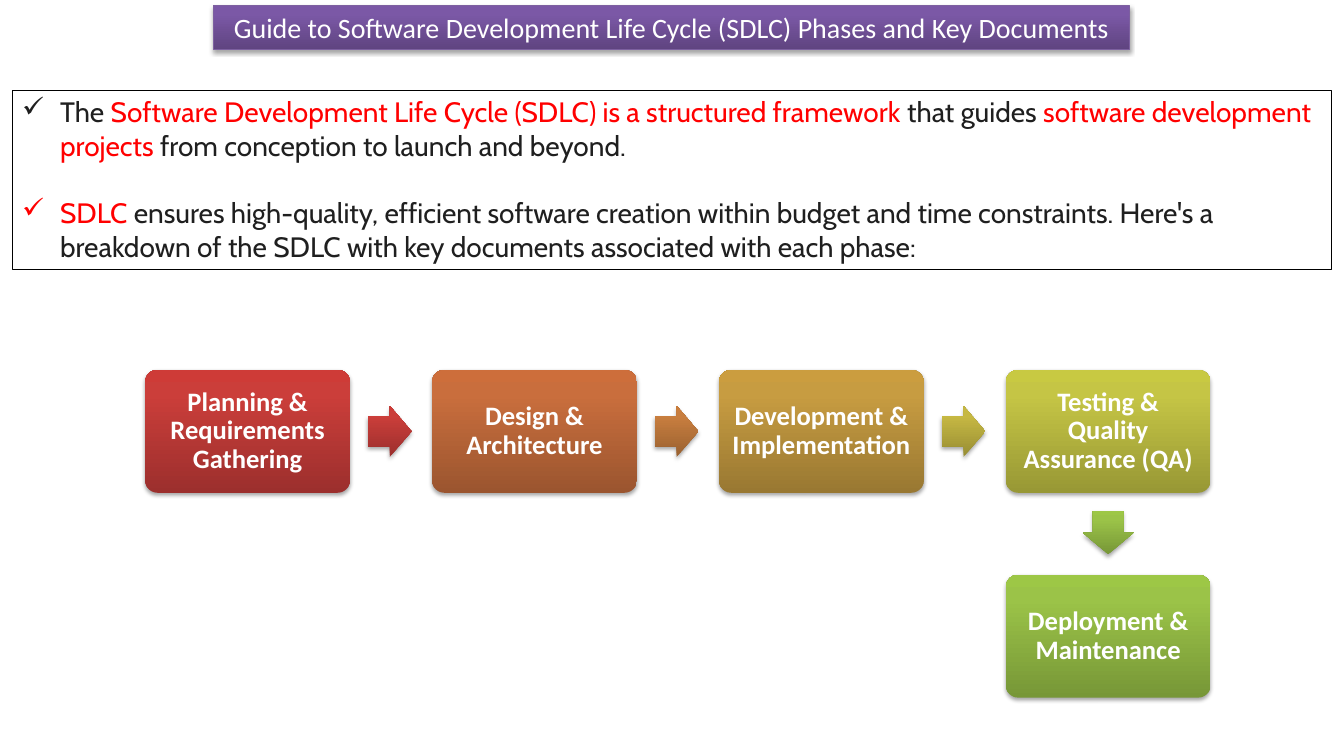
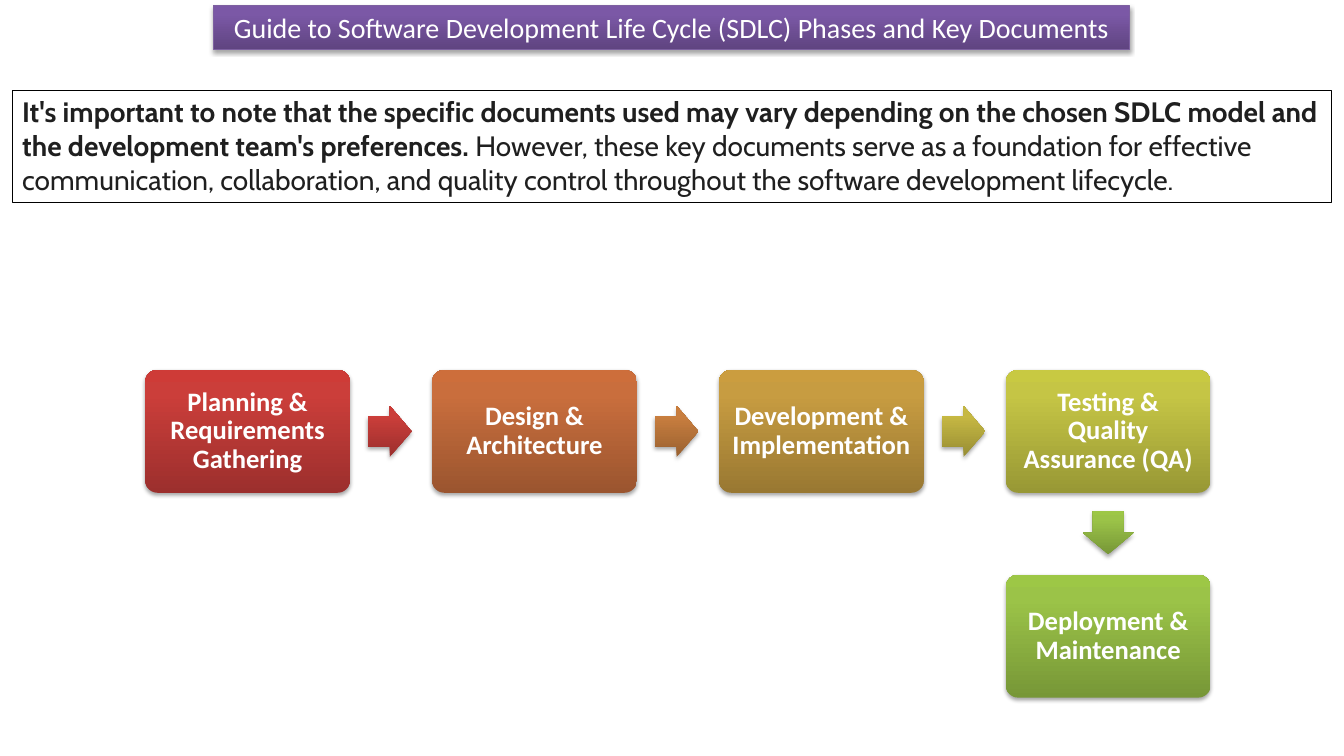
"""Build two slides on the phases of the software life cycle."""
import copy
import dataclasses

import pptx
import pptx.dml.color
import pptx.enum.shapes
import pptx.enum.text
import pptx.oxml
import pptx.oxml.ns
import pptx.util

Pt = pptx.util.Pt
Kind = pptx.enum.shapes.MSO_SHAPE
Align = pptx.enum.text.PP_ALIGN
Anchor = pptx.enum.text.MSO_ANCHOR


@dataclasses.dataclass(frozen=True)
class Theme:
    """Hold the colours, fonts and type sizes of the deck."""
    white: str = "FFFFFF"
    black: str = "000000"
    ink: str = "1F1F1F"
    red: str = "FF0000"
    rim: str = "7D60A0"
    band: tuple = ("5F4480", "7B58A6", "7C57A8")
    boxes: tuple = (
        ("9C2F2D", "CB3E3A", "CE3B37"),
        ("9B552F", "C96E3D", "CD6E3B"),
        ("997832", "C79C41", "CB9D3F"),
        ("989835", "C5C545", "C8C942"),
        ("779737", "9BC348", "9DC746"),
    )
    arrows: tuple = (
        ("9C2F2D", "CB3E3A", "CE3B37"),
        ("9A6130", "C87E3F", "CC7E3C"),
        ("988E34", "C6B843", "C9BB41"),
        ("779737", "9BC348", "9DC746"),
    )
    stops: tuple = (0, 0.8, 1)
    head: str = "Calibri"
    body: str = "Cabin"
    large: int = 20
    small: int = 19


THEME = Theme()
TITLE = "Guide to Software Development Life Cycle (SDLC) Phases and Key Documents"
STEPS = (
    "Planning & Requirements Gathering",
    "Design & Architecture",
    "Development & Implementation",
    "Testing & Quality Assurance (QA)",
    "Deployment & Maintenance",
)
INTRO = (
    (
        ("The ", THEME.ink, False),
        ("Software Development Life Cycle (SDLC) is a structured framework ", THEME.red, False),
        ("that guides ", THEME.ink, False),
        ("software development projects ", THEME.red, False),
        ("from conception to launch and beyond.", THEME.ink, False),
    ),
    (
        ("SDLC", THEME.red, False),
        (" ensures high-quality, efficient software creation within budget and time "
         "constraints. Here's a breakdown of the SDLC with key documents associated "
         "with each phase:", THEME.ink, False),
    ),
)
CLOSE = (
    (
        ("It's important to note that the specific documents used may vary depending on "
         "the chosen SDLC model and the development team's preferences.", THEME.ink, True),
        (" However, these key documents serve as a foundation for effective "
         "communication, collaboration, and quality control throughout the software "
         "development lifecycle.", THEME.ink, False),
    ),
)


def tint(code):
    """Turn a hex code into a colour."""
    return pptx.dml.color.RGBColor.from_string(code)


def add_shape(slide, kind, left, top, width, height):
    """Add a plain shape with no line or shadow."""
    shape = slide.shapes.add_shape(kind, Pt(left), Pt(top), Pt(width), Pt(height))
    shape.shadow.inherit = False
    shape.line.fill.background()
    shape.text_frame.word_wrap = True
    return shape


def set_line(shape, code, width):
    """Give a shape a solid outline."""
    shape.line.color.rgb = tint(code)
    shape.line.width = Pt(width)


def add_gloss(shape, shades):
    """Fill a shape with an upward gradient and drop a soft shadow."""
    shape.fill.gradient()
    shape.fill.gradient_angle = 90
    group = shape.element.xpath(".//a:gsLst")[0]
    group.append(copy.deepcopy(group[0]))
    for stop, code, place in zip(shape.fill.gradient_stops, shades, THEME.stops):
        stop.color.rgb = tint(code)
        stop.position = place
    shape.element.xpath("./p:spPr/a:effectLst")[0].append(pptx.oxml.parse_xml(
        f'<a:outerShdw {pptx.oxml.ns.nsdecls("a")} blurRad="{Pt(3.1)}" '
        f'dist="{Pt(1.8)}" dir="5400000" rotWithShape="0">'
        f'<a:srgbClr val="{THEME.black}"><a:alpha val="35000"/></a:srgbClr>'
        '</a:outerShdw>'))


def add_run(para, text, font, size, code, bold=False):
    """Add one styled run to a paragraph."""
    run = para.add_run()
    run.text = text
    run.font.name = font
    run.font.size = Pt(size)
    run.font.bold = bold
    run.font.color.rgb = tint(code)


def add_tick(para):
    """Give a paragraph a tick bullet with a hanging indent."""
    props = para._p.get_or_add_pPr()
    props.set("marL", str(Pt(27)))
    props.set("indent", str(Pt(-27)))
    props.append(pptx.oxml.parse_xml(
        f'<a:buChar {pptx.oxml.ns.nsdecls("a")} char="✓"/>'))


def add_title(slide):
    """Add the purple title band."""
    shape = add_shape(slide, Kind.RECTANGLE, 152.7, 4, 654, 31.5)
    add_gloss(shape, THEME.band)
    set_line(shape, THEME.rim, 0.75)
    para = shape.text_frame.paragraphs[0]
    para.alignment = Align.CENTER
    add_run(para, TITLE, THEME.head, THEME.large, THEME.white)


def add_panel(slide, paras, height, ticks):
    """Add the framed text below the title."""
    shape = add_shape(slide, Kind.RECTANGLE, 8.8, 64.3, 942, height)
    shape.fill.solid()
    shape.fill.fore_color.rgb = tint(THEME.white)
    set_line(shape, THEME.black, 0.25)
    frame = shape.text_frame
    frame.vertical_anchor = Anchor.TOP
    for index, runs in enumerate(paras):
        para = frame.add_paragraph() if index else frame.paragraphs[0]
        para.alignment = Align.LEFT
        if index:
            para.space_before = Pt(24)
        if ticks:
            add_tick(para)
        for text, code, bold in runs:
            add_run(para, text, THEME.body, THEME.large, code, bold)


def add_step(slide, left, top, width, height, text, shades):
    """Add one rounded phase box."""
    shape = add_shape(slide, Kind.ROUNDED_RECTANGLE, left, top, width, height)
    shape.adjustments[0] = 0.1
    add_gloss(shape, shades)
    frame = shape.text_frame
    frame.vertical_anchor = Anchor.MIDDLE
    frame.margin_left = frame.margin_right = Pt(5.7)
    para = frame.paragraphs[0]
    para.alignment = Align.CENTER
    para.line_spacing = 0.9
    add_run(para, text, THEME.head, THEME.small, THEME.white, True)


def add_arrow(slide, kind, left, top, width, height, shades):
    """Add one block arrow."""
    shape = add_shape(slide, kind, left, top, width, height)
    shape.adjustments[0] = 0.6
    shape.adjustments[1] = 0.5
    add_gloss(shape, shades)


def add_flow(slide):
    """Lay four phases in a row and the last below its end."""
    left, top, width, height = 103.7, 264.2, 146.3, 87.8
    pitch, drop, gap, long, wide = 204.9, 146.3, 13, 31, 36.3
    final = len(STEPS) - 1
    for index, (text, shades) in enumerate(zip(STEPS, THEME.boxes)):
        across = left + min(index, final - 1) * pitch
        down = top + (drop if index == final else 0)
        add_step(slide, across, down, width, height, text, shades)
        if index < final - 1:
            add_arrow(slide, Kind.RIGHT_ARROW, across + width + gap,
                      down + (height - wide) / 2, long, wide, THEME.arrows[index])
        elif index < final:
            add_arrow(slide, Kind.DOWN_ARROW, across + (width - wide) / 2,
                      down + height + gap, wide, long, THEME.arrows[index])


def main():
    """Build and save the deck."""
    deck = pptx.Presentation()
    deck.slide_width, deck.slide_height = Pt(960), Pt(540)
    for paras, height, ticks in ((INTRO, 128, True), (CLOSE, 80, False)):
        slide = deck.slides.add_slide(deck.slide_layouts[6])
        add_title(slide)
        add_panel(slide, paras, height, ticks)
        add_flow(slide)
    deck.save("out.pptx")


if __name__ == "__main__":
    main()
